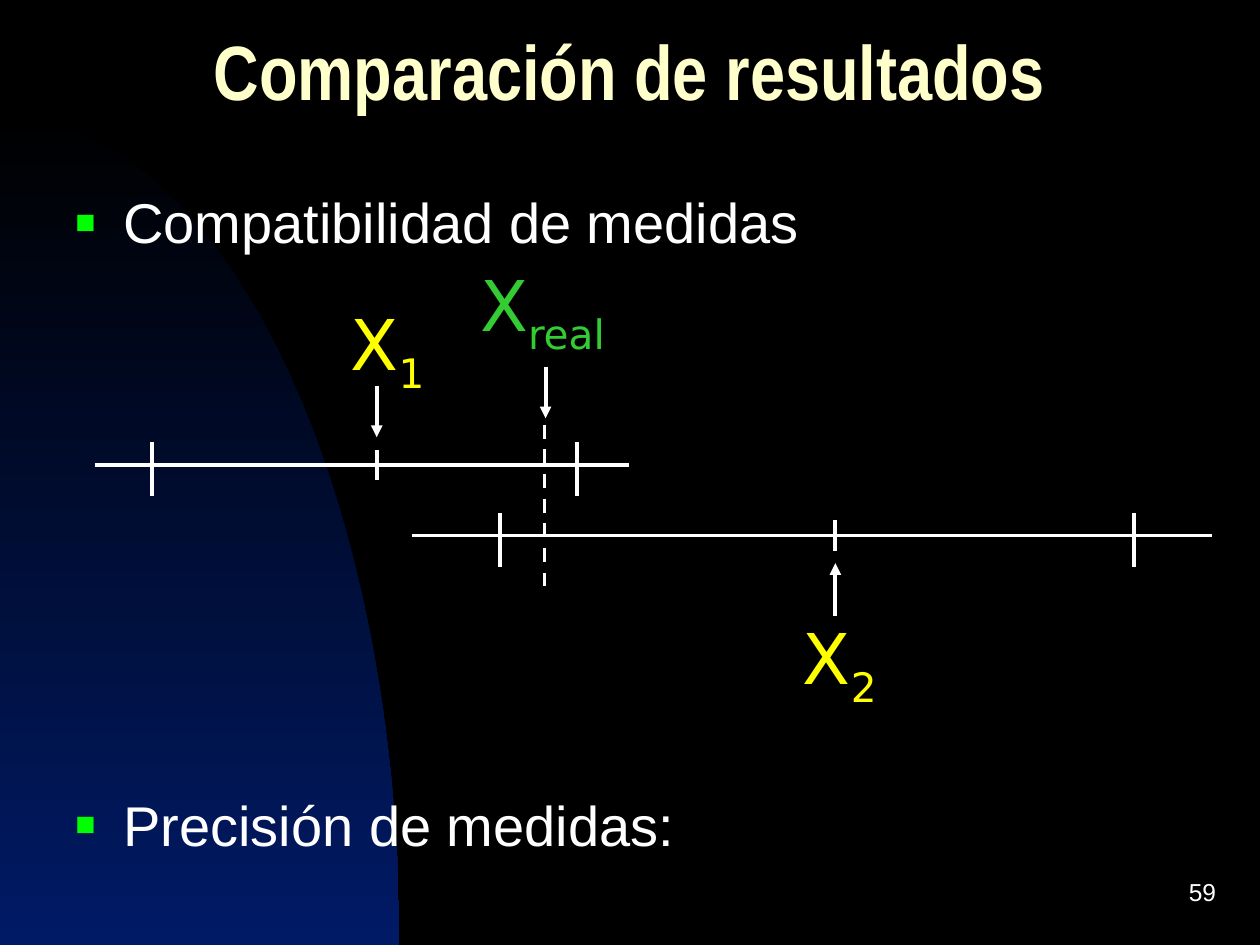
from math import cos, sin, pi
from lxml.etree import SubElement
from pptx import Presentation
from pptx.dml.color import RGBColor
from pptx.enum.dml import MSO_LINE
from pptx.enum.shapes import MSO_CONNECTOR
from pptx.enum.text import MSO_ANCHOR, MSO_AUTO_SIZE, PP_ALIGN
from pptx.oxml.ns import qn
from pptx.util import Inches, Pt

BLACK = RGBColor(0x00, 0x00, 0x00)
NAVY = RGBColor(0x00, 0x1A, 0x66)
CREAM = RGBColor(0xFF, 0xFF, 0xCC)
WHITE = RGBColor(0xFF, 0xFF, 0xFF)
YELLOW = RGBColor(0xFF, 0xFF, 0x00)
GREEN = RGBColor(0x33, 0xCC, 0x33)
LIME = RGBColor(0x00, 0xFF, 0x00)

deck = Presentation()
deck.slide_width, deck.slide_height = Inches(10), Inches(7.5)
COL = deck.slide_width / 100
ROW = deck.slide_height / 75

slide = deck.slides.add_slide(deck.slide_layouts[5])
shapes = slide.shapes
slide.background.fill.solid()
slide.background.fill.fore_color.rgb = BLACK


def put(item, form):
    for key, value in form.items():
        setattr(item, key, value)


def write(box, area, words, font, tint, para, frame):
    left, top, width, height = area
    text = box.text_frame
    put(text, {"word_wrap": True, "auto_size": MSO_AUTO_SIZE.NONE, **frame})
    put(box, {"left": int(left * COL), "top": int(top * ROW),
              "width": int(width * COL), "height": int(height * ROW)})
    line = text.paragraphs[0]
    put(line, para)
    for word in words:
        run = line.add_run()
        run.text = word
        put(run.font, font)
        run.font.color.rgb = tint
    return line


STEPS = 60
arc = [(31.7 * sin(n / STEPS * pi / 2) * COL,
        (75 - 65.8 * cos(n / STEPS * pi / 2)) * ROW) for n in range(STEPS + 1)]
pen = shapes.build_freeform(0, int(75 * ROW))
pen.add_line_segments([(int(x), int(y)) for x, y in arc])
curve = pen.convert_to_shape()
curve.shadow.inherit = False
curve.line.fill.background()
curve.fill.gradient()
curve.fill.gradient_angle = 270
for stop, tint, place in zip(curve.fill.gradient_stops, (BLACK, NAVY), (0, 1)):
    stop.color.rgb = tint
    stop.position = place

write(shapes.title, (5, 1.9, 90, 9), ["Comparación de resultados"],
      {"name": "Arial Narrow", "size": Pt(44), "bold": True}, CREAM,
      {"alignment": PP_ALIGN.CENTER, "line_spacing": 0.7},
      {"vertical_anchor": MSO_ANCHOR.MIDDLE})

for top, width, words in ((13.9, 67, "Compatibilidad de medidas"),
                          (61.7, 54.9, "Precisión de medidas:")):
    line = write(shapes.add_textbox(0, 0, 0, 0), (5, top, width, 8.2), [words],
                 {"name": "Arial", "size": Pt(32)}, WHITE, {},
                 {"margin_top": int(ROW)})
    props = line._p.get_or_add_pPr()
    props.set("marL", str(int(3.8 * COL)))
    props.set("indent", str(int(-3.8 * COL)))
    SubElement(SubElement(props, qn("a:buClr")), qn("a:srgbClr"), val=str(LIME))
    SubElement(props, qn("a:buSzPct"), val="60000")
    SubElement(props, qn("a:buFont"), typeface="Arial")
    SubElement(props, qn("a:buChar"), char="■")

for left, top, width, sub, tint in ((25.3, 24.7, 10.9, "1", YELLOW),
                                    (61.2, 49.6, 10.9, "2", YELLOW),
                                    (34.1, 21.6, 17.9, "real", GREEN)):
    line = write(shapes.add_textbox(0, 0, 0, 0), (left, top, width, 6.3), ["X", sub],
                 {"name": "DejaVu Sans", "size": Pt(40)}, tint,
                 {"alignment": PP_ALIGN.CENTER, "line_spacing": 0.7}, {})
    line.runs[1].font._element.set("baseline", "-25000")

marks = [(43.2, 33.7, 43.2, 46.5, 2, "dash")]
for x, y, end in ((29.9, 30.6, 34.7), (66.3, 48.9, 44.7), (43.3, 29.1, 33.2)):
    marks.append((x, y, x, end, 2.25, "arrow"))
for y, start, end, ticks in ((36.9, 7.5, 49.9, ((12.1, 2.15), (29.9, 1.2), (45.8, 2.15))),
                             (42.5, 32.7, 96.2, ((39.7, 2.15), (66.3, 1.2), (90, 2.15)))):
    marks.append((start, y, end, y, 2.25, "plain"))
    for x, half in ticks:
        mid = y + (0.35 if half > 2 else 0)
        marks.append((x, mid - half, x, mid + half, 2.25, "plain"))

for x, y, right, low, size, kind in marks:
    mark = shapes.add_connector(MSO_CONNECTOR.STRAIGHT, int(x * COL), int(y * ROW),
                                int(right * COL), int(low * ROW))
    mark.line.color.rgb = WHITE
    mark.line.width = Pt(size)
    if kind == "dash":
        mark.line.dash_style = MSO_LINE.DASH
    if kind == "arrow":
        SubElement(mark.line._get_or_add_ln(), qn("a:tailEnd"), type="triangle")
    SubElement(mark._element.spPr, qn("a:effectLst"))

write(shapes.add_textbox(0, 0, 0, 0), (76.7, 68.3, 20.8, 5), ["59"],
      {"name": "Arial", "size": Pt(14)}, WHITE, {"alignment": PP_ALIGN.RIGHT},
      {"vertical_anchor": MSO_ANCHOR.MIDDLE})

deck.save("out.pptx")
